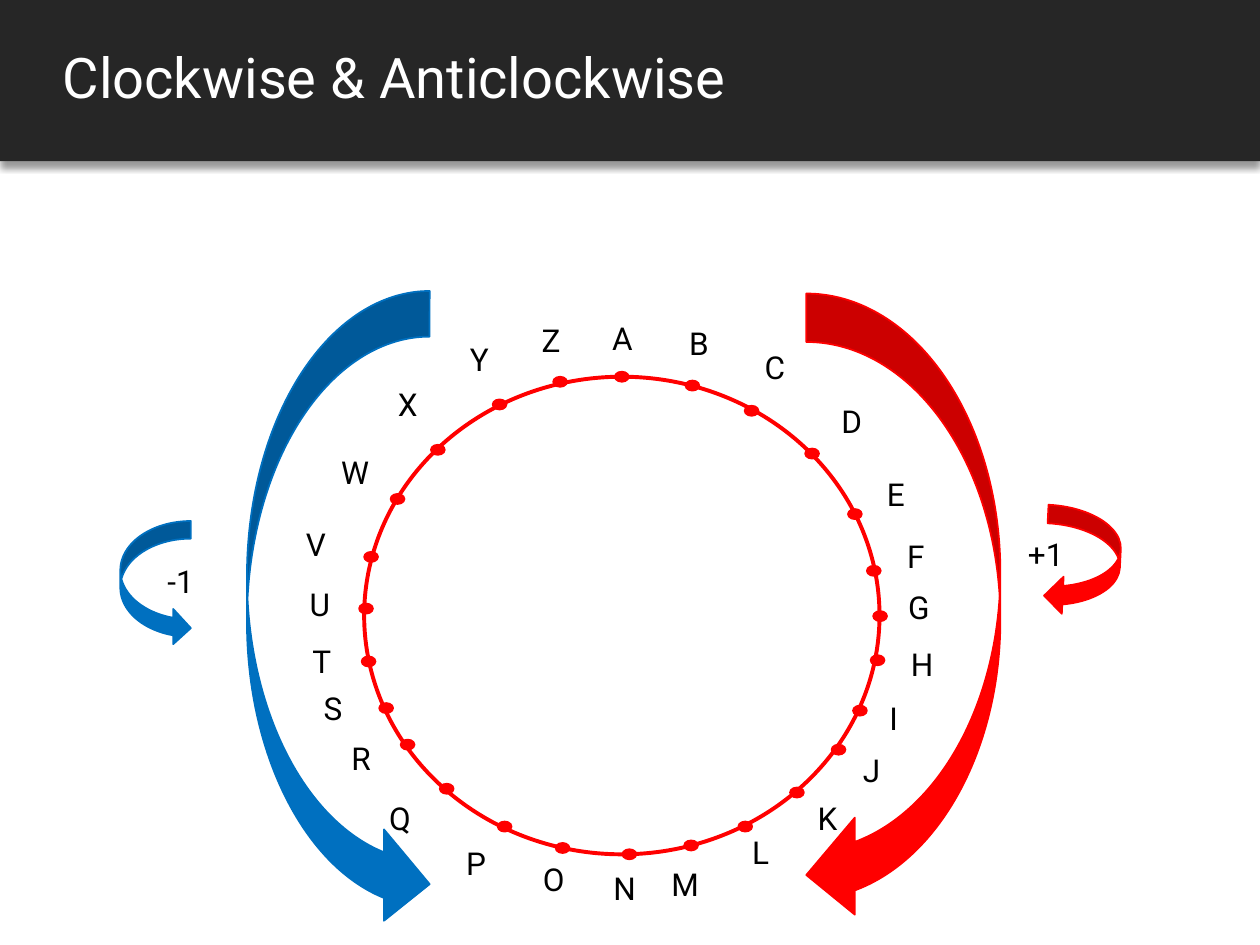
"""Build the slide on clockwise and anticlockwise turns round an alphabet ring."""
from lxml import etree
from pptx import Presentation
from pptx import util as u
from pptx.dml import color
from pptx.enum import shapes, text
from pptx.oxml import ns

TITLE = "Clockwise & Anticlockwise"
HEAD = (0, 0, 10, 1.28)
TITLE_BOX = (0.4, 0, 9.6, 1.28)
RING = (2.89, 2.99, 4.09, 3.79)
DOT = (0.11, 0.08)
CELL = (0.35, 0.4)
STEP = (0.68, 0.4)

ARROWS = [
    {"box": (0.74, 4.35, 0.99, 0.56), "turn": 270, "flip": "H", "hue": "back"},
    {"box": (8.16, 4.16, 0.87, 0.59), "turn": 92.8, "flip": "", "hue": "ahead"},
    {"box": (0.15, 4.12, 5.07, 1.45), "turn": 90, "flip": "V", "hue": "back"},
    {"box": (4.67, 4.06, 5, 1.54), "turn": 270, "flip": "HV", "hue": "ahead"},
]

# letter: dot corner, label corner
MARKS = {
    "A": ((4.88, 2.95), (4.76, 2.48)),
    "B": ((5.44, 3.02), (5.37, 2.52)),
    "C": ((5.91, 3.22), (5.97, 2.71)),
    "D": ((6.39, 3.56), (6.58, 3.14)),
    "E": ((6.73, 4.04), (6.94, 3.72)),
    "F": ((6.88, 4.49), (7.1, 4.21)),
    "G": ((6.93, 4.85), (7.11, 4.62)),
    "H": ((6.91, 5.2), (7.13, 5.07)),
    "I": ((6.77, 5.6), (6.96, 5.5)),
    "J": ((6.6, 5.91), (6.75, 5.91)),
    "K": ((6.27, 6.25), (6.39, 6.29)),
    "L": ((5.86, 6.52), (5.87, 6.56)),
    "M": ((5.43, 6.67), (5.23, 6.82)),
    "N": ((4.94, 6.74), (4.77, 6.85)),
    "O": ((4.41, 6.69), (4.21, 6.78)),
    "P": ((3.95, 6.52), (3.6, 6.65)),
    "Q": ((3.49, 6.22), (2.99, 6.29)),
    "R": ((3.18, 5.87), (2.69, 5.82)),
    "S": ((3.01, 5.58), (2.47, 5.42)),
    "T": ((2.87, 5.21), (2.38, 5.05)),
    "U": ((2.85, 4.79), (2.36, 4.59)),
    "V": ((2.89, 4.38), (2.33, 4.12)),
    "W": ((3.1, 3.92), (2.61, 3.55)),
    "X": ((3.42, 3.53), (3.06, 3.01)),
    "Y": ((3.91, 3.17), (3.63, 2.65)),
    "Z": ((4.39, 2.99), (4.2, 2.5)),
}
STEPS = {"+1": (8.06, 4.2), "-1": (1.23, 4.41)}

THEME = {
    "font": "Roboto", "big": 32, "base": 18,
    "head": "262626", "title": "FFFFFF", "ink": "000000",
    "back": "0070C0", "ahead": "FF0000", "shade": "000000",
}


def rgb(hue):
    """Return the theme colour of that name."""
    return color.RGBColor.from_string(THEME[hue])


def put(item, vals):
    """Set each named value on the item."""
    for key, val in vals.items():
        setattr(item, key, val)


def draw(slide, kind, box, fill=None, line=None, width=1):
    """Add a preset shape without the default shadow."""
    form = slide.shapes.add_shape(kind, *map(u.Inches, box))
    form.shadow.inherit = False
    for part, hue in ((form.fill, fill), (form.line.fill, line)):
        if hue:
            part.solid()
            part.fore_color.rgb = rgb(hue)
        else:
            part.background()
    if line:
        form.line.width = u.Pt(width)
    return form


def write(slide, words, box, size="base", hue="ink", frame=None, para=None):
    """Add one line of text."""
    body = slide.shapes.add_textbox(*map(u.Inches, box)).text_frame
    put(body, {"word_wrap": True, **(frame or {})})
    line = body.paragraphs[0]
    line.text = words
    put(line, para or {})
    font = line.runs[0].font
    put(font, {"name": THEME["font"], "size": u.Pt(THEME[size])})
    font.color.rgb = rgb(hue)


def shade(form):
    """Give the shape a soft shadow straight below it."""
    list_ = form._element.spPr.find(ns.qn("a:effectLst"))
    cast = etree.SubElement(
        list_, ns.qn("a:outerShdw"), blurRad=str(u.Pt(4)),
        dist=str(u.Pt(3)), dir="5400000", algn="t", rotWithShape="0")
    tint = etree.SubElement(cast, ns.qn("a:srgbClr"), val=THEME["shade"])
    etree.SubElement(tint, ns.qn("a:alpha"), val="40000")


def main():
    """Lay out the header, arrows, ring and letters."""
    deck = Presentation()
    put(deck, {"slide_width": u.Inches(10), "slide_height": u.Inches(7.5)})
    slide = deck.slides.add_slide(deck.slide_layouts[6])
    kind = shapes.MSO_SHAPE

    shade(draw(slide, kind.RECTANGLE, HEAD, "head"))
    write(slide, TITLE, TITLE_BOX, "big", "title",
          {"vertical_anchor": text.MSO_ANCHOR.MIDDLE},
          {"line_spacing": 0.9, "space_after": u.Pt(6)})

    for row in ARROWS:
        form = draw(slide, kind.CURVED_DOWN_ARROW, row["box"], row["hue"], row["hue"])
        form.rotation = row["turn"]
        for axis in row["flip"]:
            form._element.spPr.xfrm.set("flip" + axis, "1")

    draw(slide, kind.OVAL, RING, line="ahead", width=2.25)
    for dot, _ in MARKS.values():
        draw(slide, kind.OVAL, dot + DOT, "ahead", "ahead")

    grow = {"auto_size": text.MSO_AUTO_SIZE.SHAPE_TO_FIT_TEXT}
    for name, (_, spot) in MARKS.items():
        write(slide, name, spot + CELL, frame=grow)
    for name, spot in STEPS.items():
        write(slide, name, spot + STEP, frame=grow)

    deck.save("out.pptx")


if __name__ == "__main__":
    main()
